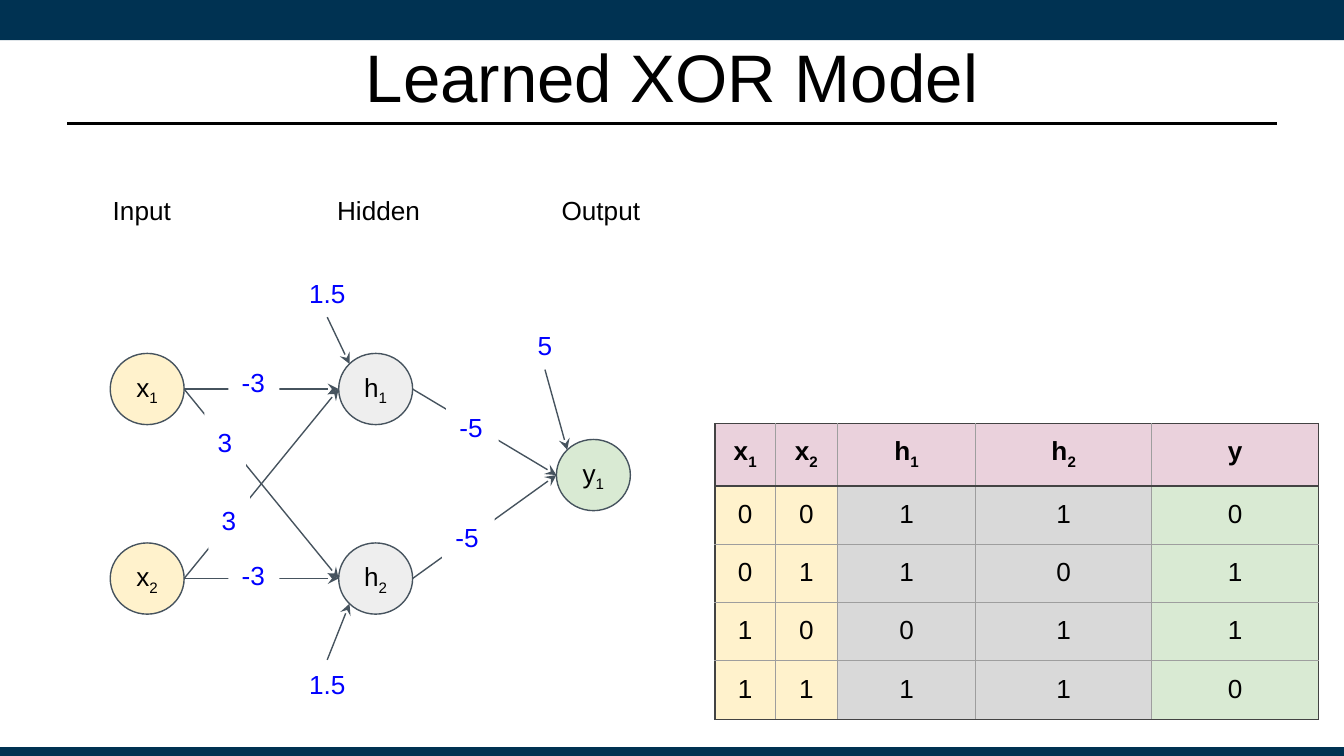
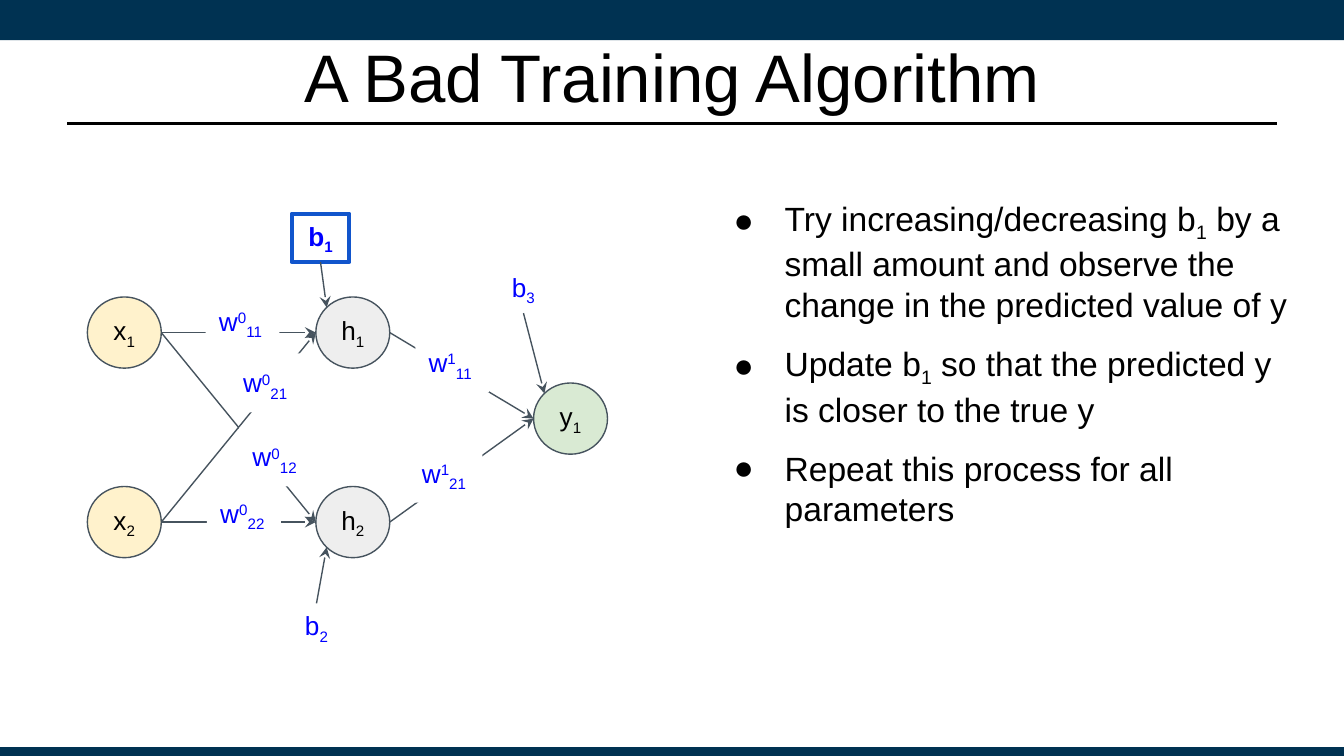
from dataclasses import dataclass
from itertools import product

from lxml import etree
from pptx import Presentation
from pptx import util as u
from pptx.dml.color import RGBColor
from pptx.enum import shapes, text
from pptx.oxml import ns


@dataclass(frozen=True)
class Theme:
    font: str = "Arial"
    band: str = "003252"
    ink: str = "000000"
    paper: str = "FFFFFF"
    edge: str = "46535E"
    param: str = "0000FF"
    focus: str = "1155CC"
    input: str = "FFF2CC"
    hidden: str = "EEEEEE"
    output: str = "D9EAD3"
    header: str = "EAD1DC"
    hidden_cell: str = "D9D9D9"
    frame: str = "434343"
    grid: str = "9E9E9E"
    title_pt: int = 36
    body_pt: int = 18
    label_pt: int = 14
    thin: float = 0.75
    rule: float = 1.25
    thick: float = 2.25


T = Theme()
SLIDE_W = 10
SLIDE_H = SLIDE_W * 9 / 16
NODE_W, NODE_H = 0.55, 0.53
BIAS_H, WEIGHT_H = 0.36, 0.44
ARC = (1 - 0.5 ** 0.5) / 2

# "|" separates runs; "_" marks a subscript run and "^" a superscript run.
NODES = {
    "x1": ("x|_1", 0, 0, T.input),
    "x2": ("x|_2", 0, 1.41, T.input),
    "h1": ("h|_1", 1.7, 0, T.hidden),
    "h2": ("h|_2", 1.7, 1.41, T.hidden),
    "y1": ("y|_1", 3.32, 0.64, T.output),
}
EDGES = [*product(("x1", "x2"), ("h1", "h2")), ("h1", "y1"), ("h2", "y1")]

XOR = {
    "title": "Learned XOR Model",
    "origin": (0.82, 2.63),
    "biases": [
        ("1.5", 2.16, 2.0, 0.55, "h1", False),
        ("1.5", 2.16, 4.91, 0.55, "h2", False),
        ("5", 3.87, 2.39, 0.37, "y1", False),
    ],
    "weights": [
        ("-3", 1.7, 2.63, 0.38),
        ("-3", 1.7, 4.06, 0.38),
        ("3", 1.52, 3.07, 0.31),
        ("3", 1.55, 3.65, 0.31),
        ("-5", 3.32, 2.96, 0.39),
        ("-5", 3.29, 3.78, 0.39),
    ],
}
LAYERS = [("Input", 0.74, 0.82), ("Hidden", 2.41, 0.88), ("Output", 4.08, 0.82)]
TRUTH_TABLE = [
    ["x|_1", "x|_2", "h|_1", "h|_2", "y"],
    ["0", "0", "1", "1", "0"],
    ["0", "1", "1", "0", "1"],
    ["1", "0", "0", "1", "1"],
    ["1", "1", "1", "1", "0"],
]
COL_WIDTHS = [0.45, 0.46, 1.03, 1.31, 1.24]
COL_FILLS = [T.input, T.input, T.hidden_cell, T.hidden_cell, T.output]
ROW_H = 0.43

TRAINING = {
    "title": "A Bad Training Algorithm",
    "origin": (0.65, 2.21),
    "biases": [
        ("b|_1", 2.17, 1.59, 0.43, "h1", True),
        ("b|_2", 2.17, 4.49, 0.37, "h2", False),
        ("b|_3", 3.71, 1.97, 0.37, "y1", False),
    ],
    "weights": [
        ("w|^0|_11", 1.53, 2.17, 0.55),
        ("w|^0|_22", 1.54, 3.6, 0.55),
        ("w|^0|_21", 1.71, 2.63, 0.55),
        ("w|^0|_12", 1.78, 3.18, 0.55),
        ("w|^1|_11", 3.09, 2.48, 0.55),
        ("w|^1|_21", 3.04, 3.3, 0.55),
    ],
}
STEPS = [
    "Try increasing/decreasing b|_1| by a small amount and observe the change in the predicted value of y",
    "Update b|_1| so that the predicted y is closer to the true y",
    "Repeat this process for all parameters",
]


def rgb(color):
    return RGBColor.from_string(color)


def sub(parent, tag, **attrs):
    return etree.SubElement(parent, ns.qn(tag), attrs)


def add_runs(p, marked, size, color=T.ink, bold=False):
    for piece in marked.split("|"):
        base = {"_": "-25000", "^": "30000"}.get(piece[0])
        r = p.add_run()
        r.text = piece[1:] if base else piece
        f = r.font
        f.name, f.size, f.bold = T.font, u.Pt(size), bold
        f.color.rgb = rgb(color)
        if base:
            r._r.get_or_add_rPr().set("baseline", base)


def set_frame(tf, anchor=text.MSO_ANCHOR.TOP, grow=False, inset=0.1):
    tf.word_wrap = True
    tf.vertical_anchor = anchor
    tf.margin_left = tf.margin_right = u.Inches(0.1)
    tf.margin_top = tf.margin_bottom = u.Inches(inset)
    tf.auto_size = text.MSO_AUTO_SIZE.SHAPE_TO_FIT_TEXT if grow else text.MSO_AUTO_SIZE.NONE


def add_box(s, kind, box, fill, line=None, width=T.thin):
    sp = s.shapes.add_shape(kind, *map(u.Inches, box))
    sp.shadow.inherit = False
    sp.fill.solid()
    sp.fill.fore_color.rgb = rgb(fill)
    if line:
        sp.line.color.rgb = rgb(line)
        sp.line.width = u.Pt(width)
    else:
        sp.line.fill.background()
    return sp


def add_label(sp, marked, color=T.ink, bold=False, centered=True):
    tf = sp.text_frame
    set_frame(tf, text.MSO_ANCHOR.MIDDLE if centered else text.MSO_ANCHOR.TOP, grow=not centered)
    p = tf.paragraphs[0]
    p.alignment = text.PP_ALIGN.CENTER if centered else text.PP_ALIGN.LEFT
    add_runs(p, marked, T.label_pt, color, bold)


def add_line(s, start, end, color=T.edge, width=T.thin, arrow=True):
    c = s.shapes.add_connector(shapes.MSO_CONNECTOR.STRAIGHT, *map(u.Inches, (*start, *end)))
    c.line.color.rgb = rgb(color)
    c.line.width = u.Pt(width)
    if arrow:
        sub(c.line._get_or_add_ln(), "a:tailEnd", type="stealth", w="med", len="med")
    sub(c._element.spPr, "a:effectLst")
    return c


def build_layout(prs):
    layout = prs.slide_layouts[5]
    for ph in list(layout.placeholders)[1:]:
        ph.element.getparent().remove(ph.element)
    return layout


def add_furniture(s, layout):
    rect = shapes.MSO_SHAPE.RECTANGLE
    parts = [
        add_box(s, rect, (0, 0, SLIDE_W, 0.3), T.band),
        add_box(s, rect, (0, 5.56, SLIDE_W, 0.08), T.band),
        add_line(s, (0.5, 0.92), (9.5, 0.92), T.ink, T.rule, arrow=False),
    ]
    for i, part in enumerate(parts):
        layout.shapes.element.insert(2 + i, part._element)


def add_slide(prs, layout, title):
    s = prs.slides.add_slide(layout)
    sp = s.shapes.title
    sp.left, sp.top, sp.width, sp.height = map(u.Inches, (0.5, 0.25, 9, 0.63))
    set_frame(sp.text_frame, text.MSO_ANCHOR.MIDDLE, inset=0.05)
    p = sp.text_frame.paragraphs[0]
    p.alignment = text.PP_ALIGN.CENTER
    add_runs(p, title, T.title_pt)
    return s


def add_network(s, net):
    ox, oy = net["origin"]
    at = {name: (ox + dx, oy + dy) for name, (_, dx, dy, _) in NODES.items()}
    for name, (label, _, _, fill) in NODES.items():
        sp = add_box(s, shapes.MSO_SHAPE.OVAL, (*at[name], NODE_W, NODE_H), fill, T.edge)
        add_label(sp, label)
    for a, b in EDGES:
        (ax, ay), (bx, by) = at[a], at[b]
        add_line(s, (ax + NODE_W, ay + NODE_H / 2), (bx, by + NODE_H / 2))
    rect = shapes.MSO_SHAPE.RECTANGLE
    for label, x, y, w, _, focus in net["biases"]:
        line, width = (T.focus, T.thick) if focus else (T.paper, T.thin)
        sp = add_box(s, rect, (x, y, w, BIAS_H), T.paper, line, width)
        add_label(sp, label, T.param, bold=focus)
    for _, x, y, w, node, _ in net["biases"]:
        nx, ny = at[node]
        above = y < ny
        start = (x + w / 2, y + BIAS_H if above else y)
        add_line(s, start, (nx + NODE_W * ARC, ny + NODE_H * (ARC if above else 1 - ARC)))
    for label, x, y, w in net["weights"]:
        sp = add_box(s, rect, (x, y, w, WEIGHT_H), T.paper)
        add_label(sp, label, T.param, centered=False)


def set_borders(cell, colors):
    tcPr = cell._tc.get_or_add_tcPr()
    for i, (side, color) in enumerate(colors.items()):
        ln = etree.Element(ns.qn(f"a:ln{side}"), w=str(u.Pt(T.thin)))
        sub(sub(ln, "a:solidFill"), "a:srgbClr", val=color)
        tcPr.insert(i, ln)


def add_truth_table(s):
    rows, cols = len(TRUTH_TABLE), len(COL_WIDTHS)
    box = (5.32, 3.15, sum(COL_WIDTHS), rows * ROW_H)
    table = s.shapes.add_table(rows, cols, *map(u.Inches, box)).table
    table.horz_banding = False
    for column, width in zip(table.columns, COL_WIDTHS):
        column.width = u.Inches(width)
    for i, j in product(range(rows), range(cols)):
        cell = table.cell(i, j)
        cell.margin_left = cell.margin_right = u.Inches(0.1)
        cell.margin_top = cell.margin_bottom = u.Inches(0.1)
        cell.fill.solid()
        cell.fill.fore_color.rgb = rgb(T.header if i == 0 else COL_FILLS[j])
        p = cell.text_frame.paragraphs[0]
        p.alignment = text.PP_ALIGN.CENTER
        add_runs(p, TRUTH_TABLE[i][j], T.label_pt, bold=i == 0)
        framed = {"L": j == 0, "R": j == cols - 1, "T": i < 2, "B": i in (0, rows - 1)}
        set_borders(cell, {k: T.frame if on else T.grid for k, on in framed.items()})


def add_steps(s):
    tf = s.shapes.add_textbox(*map(u.Inches, (5.24, 1.37, 4.46, 2.6))).text_frame
    set_frame(tf, grow=True)
    for i, step in enumerate(STEPS):
        p = tf.add_paragraph() if i else tf.paragraphs[0]
        if i:
            p.space_before = u.Pt(10)
        pPr = p._p.get_or_add_pPr()
        pPr.set("marL", str(u.Inches(0.5)))
        pPr.set("indent", str(u.Inches(-0.38)))
        sub(sub(pPr, "a:buClr"), "a:srgbClr", val=T.ink)
        sub(pPr, "a:buFont", typeface=T.font)
        sub(pPr, "a:buChar", char="●")
        add_runs(p, step, T.body_pt)


def main():
    prs = Presentation()
    prs.slide_width, prs.slide_height = u.Inches(SLIDE_W), u.Inches(SLIDE_H)
    layout = build_layout(prs)

    s = add_slide(prs, layout, XOR["title"])
    add_furniture(s, layout)
    for name, x, w in LAYERS:
        sp = s.shapes.add_textbox(*map(u.Inches, (x, 1.35, w, 0.44)))
        add_label(sp, name, centered=False)
    add_network(s, XOR)
    add_truth_table(s)

    s = add_slide(prs, layout, TRAINING["title"])
    add_network(s, TRAINING)
    add_steps(s)
    prs.save("out.pptx")


if __name__ == "__main__":
    main()
